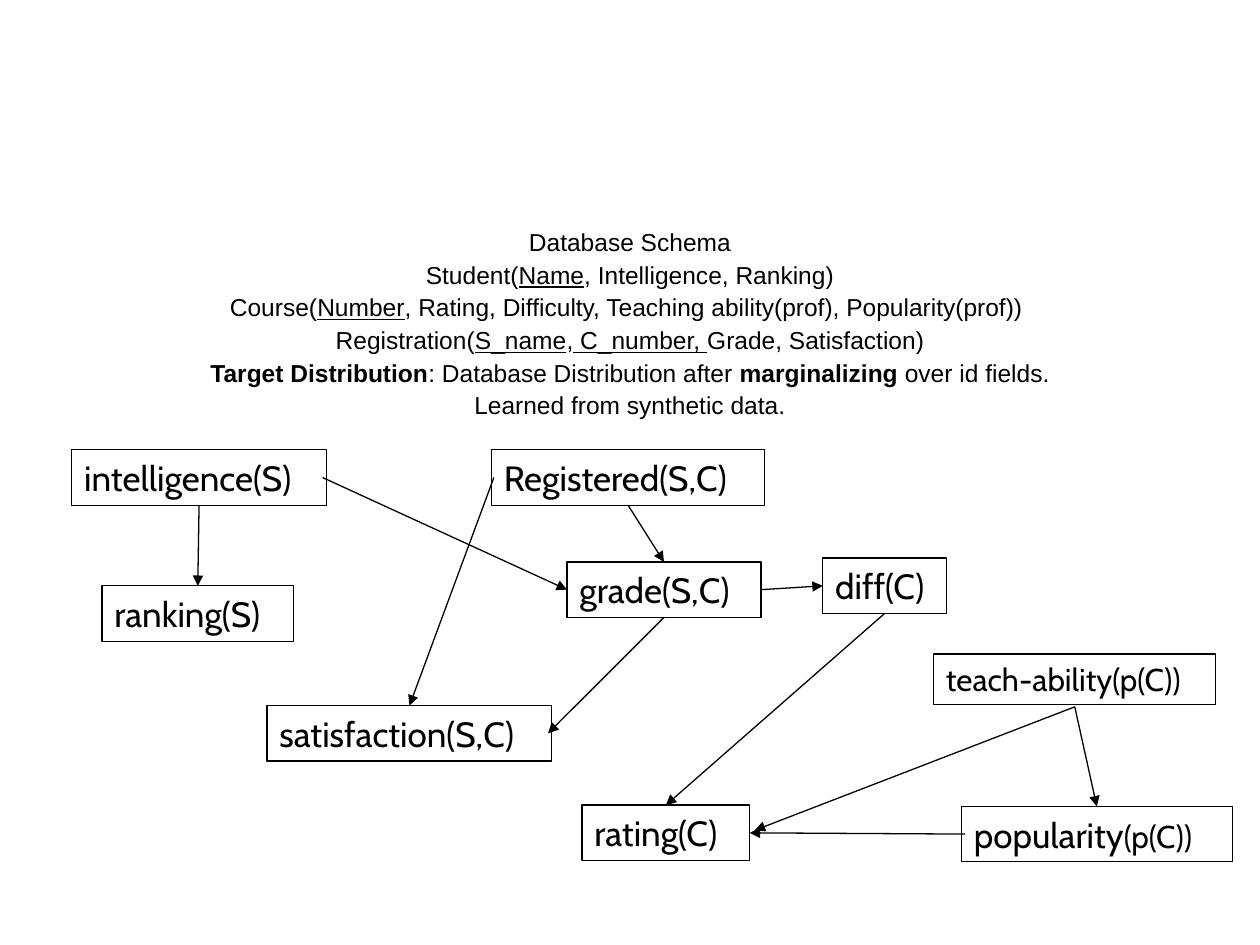
from dataclasses import dataclass

from lxml import etree
from pptx import Presentation
from pptx.dml.color import RGBColor
from pptx.enum.shapes import MSO_CONNECTOR, MSO_SHAPE
from pptx.enum.text import MSO_ANCHOR, MSO_AUTO_SIZE, PP_ALIGN
from pptx.oxml.ns import qn
from pptx.util import Inches, Pt

RECTANGLE = MSO_SHAPE.RECTANGLE
STRAIGHT = MSO_CONNECTOR.STRAIGHT
LEFT, CENTER = PP_ALIGN.LEFT, PP_ALIGN.CENTER
TOP, MIDDLE = MSO_ANCHOR.TOP, MSO_ANCHOR.MIDDLE
NO_AUTOFIT = MSO_AUTO_SIZE.NONE


@dataclass(frozen=True)
class Theme:
    ink: RGBColor = RGBColor(0, 0, 0)
    paper: RGBColor = RGBColor(255, 255, 255)
    schema_font: str = "Arial"
    node_font: str = "Cabin"
    schema_size: float = 14
    node_size: float = 20
    small_node_size: float = 18
    line_width: float = 0.75


THEME = Theme()

# Each line is a list of (text, style); style is "", "u" or "b"
SCHEMA = [
    [("Database Schema", "")],
    [("Student(", ""), ("Name", "u"), (", Intelligence, Ranking)", "")],
    [("Course(", ""), ("Number", "u"),
     (", Rating, Difficulty, Teaching ability(prof), Popularity(prof)) ", "")],
    [("Registration(", ""), ("S_name", "u"), (",", ""),
     (" C_number, ", "u"), ("Grade, Satisfaction)", "")],
    [("Target Distribution", "b"), (": Database Distribution after ", ""),
     ("marginalizing", "b"), (" over id fields.", "")],
    [("Learned from synthetic data.", "")],
]

BIG, SMALL = THEME.node_size, THEME.small_node_size

# name: (left, top, width, height) within the network, text runs
NODES = {
    "ranking": ((0.24, 1.08, 1.52, 0.44), [("ranking(S)", BIG)]),
    "intelligence": ((0, 0, 2.02, 0.44), [("intelligence(S)", BIG)]),
    "diff": ((5.96, 0.86, 0.98, 0.44), [("diff(C)", BIG)]),
    "rating": ((4.05, 2.82, 1.33, 0.44), [("rating(C)", BIG)]),
    "registered": ((3.33, 0, 2.17, 0.44), [("Registered(S,C)", BIG)]),
    "grade": ((3.93, 0.89, 1.54, 0.44), [("grade(S,C)", BIG)]),
    "satisfaction": ((1.55, 2.03, 2.26, 0.44), [("satisfaction(S,C)", BIG)]),
    "popularity": ((7.06, 2.83, 2.15, 0.44),
                   [("popularity", BIG), ("(p(C))", SMALL)]),
    "teach": ((6.84, 1.62, 2.24, 0.40), [("teach-ability(p(C))", SMALL)]),
}

# An arrow end is (node, side, x nudge, y nudge)
ARROWS = [
    (("intelligence", "bottom", 0, 0), ("ranking", "top", 0, 0)),
    (("teach", "bottom", 0, 0.02), ("popularity", "top", 0, 0)),
    (("diff", "bottom", 0, 0), ("rating", "top", 0, 0)),
    (("registered", "bottom", 0, 0), ("grade", "top", 0, 0)),
    (("registered", "left", 0.02, 0), ("satisfaction", "top", 0, 0)),
    (("grade", "bottom", 0, 0), ("satisfaction", "right", -0.03, 0)),
    (("grade", "right", 0, 0), ("diff", "left", 0, 0)),
    (("intelligence", "right", -0.03, 0), ("grade", "left", 0, 0)),
    (("popularity", "left", 0.03, 0), ("rating", "right", 0, 0)),
    (("teach", "bottom", 0, 0.02), ("rating", "right", 0.04, -0.02)),
]

SIDES = {"top": (0.5, 0), "bottom": (0.5, 1), "left": (0, 0.5), "right": (1, 0.5)}


def add_run(para, text, font, size, style=""):
    span = para.add_run()
    span.text = text
    span.font.name = font
    span.font.size = Pt(size)
    span.font.color.rgb = THEME.ink
    span.font.bold = style == "b"
    span.font.underline = style == "u"


def set_frame(frame, anchor):
    frame.word_wrap = True
    frame.auto_size = NO_AUTOFIT
    frame.vertical_anchor = anchor
    frame.margin_left = frame.margin_right = Inches(0.1)
    frame.margin_top = frame.margin_bottom = Inches(0.05)


def add_schema(slide, box):
    """Fill the body placeholder with the centred schema lines."""
    body = slide.placeholders[1]
    body.left, body.top, body.width, body.height = (Inches(v) for v in box)
    frame = body.text_frame
    set_frame(frame, TOP)
    for index, line in enumerate(SCHEMA):
        para = frame.add_paragraph() if index else frame.paragraphs[0]
        para.alignment = CENTER
        para.line_spacing = 0.9
        para.space_before = Pt(3.5)
        # Hanging indent without a bullet
        properties = para._p.get_or_add_pPr()
        properties.set("marL", str(Inches(0.38)))
        properties.set("indent", str(-Inches(0.38)))
        etree.SubElement(properties, qn("a:buNone"))
        for text, style in line:
            add_run(para, text, THEME.schema_font, THEME.schema_size, style)


def add_node(slide, box, runs):
    node = slide.shapes.add_shape(RECTANGLE, *(Inches(v) for v in box))
    node.shadow.inherit = False
    node.fill.background()
    node.line.color.rgb = THEME.ink
    node.line.width = Pt(THEME.line_width)
    set_frame(node.text_frame, MIDDLE)
    para = node.text_frame.paragraphs[0]
    para.alignment = LEFT
    for text, size in runs:
        add_run(para, text, THEME.node_font, size)


def add_arrow(slide, start, end):
    arrow = slide.shapes.add_connector(STRAIGHT, *(Inches(v) for v in start + end))
    arrow.line.color.rgb = THEME.ink
    arrow.line.width = Pt(THEME.line_width)
    etree.SubElement(arrow.line._get_or_add_ln(), qn("a:tailEnd"), type="triangle")
    etree.SubElement(arrow._element.spPr, qn("a:effectLst"))


def add_network(slide, box):
    """Draw the nodes and the arrows between their side midpoints."""
    origin_x, origin_y = box[:2]
    places = {}
    for name, ((left, top, width, height), runs) in NODES.items():
        places[name] = (origin_x + left, origin_y + top, width, height)
        add_node(slide, places[name], runs)

    def end_point(name, side, nudge_x, nudge_y):
        left, top, width, height = places[name]
        across, down = SIDES[side]
        return left + across * width + nudge_x, top + down * height + nudge_y

    for start, end in ARROWS:
        add_arrow(slide, end_point(*start), end_point(*end))


def main():
    deck = Presentation()
    deck.slide_width, deck.slide_height = Inches(10), Inches(7.5)
    page = deck.slides.add_slide(deck.slide_layouts[1])
    page.background.fill.solid()
    page.background.fill.fore_color.rgb = THEME.paper
    # This slide has no title
    title = page.shapes.title._element
    title.getparent().remove(title)
    add_schema(page, (0.75, 1.78, 8.5, 1.47))
    add_network(page, (0.57, 3.57, 9.21, 3.27))
    deck.save("out.pptx")


if __name__ == "__main__":
    main()
